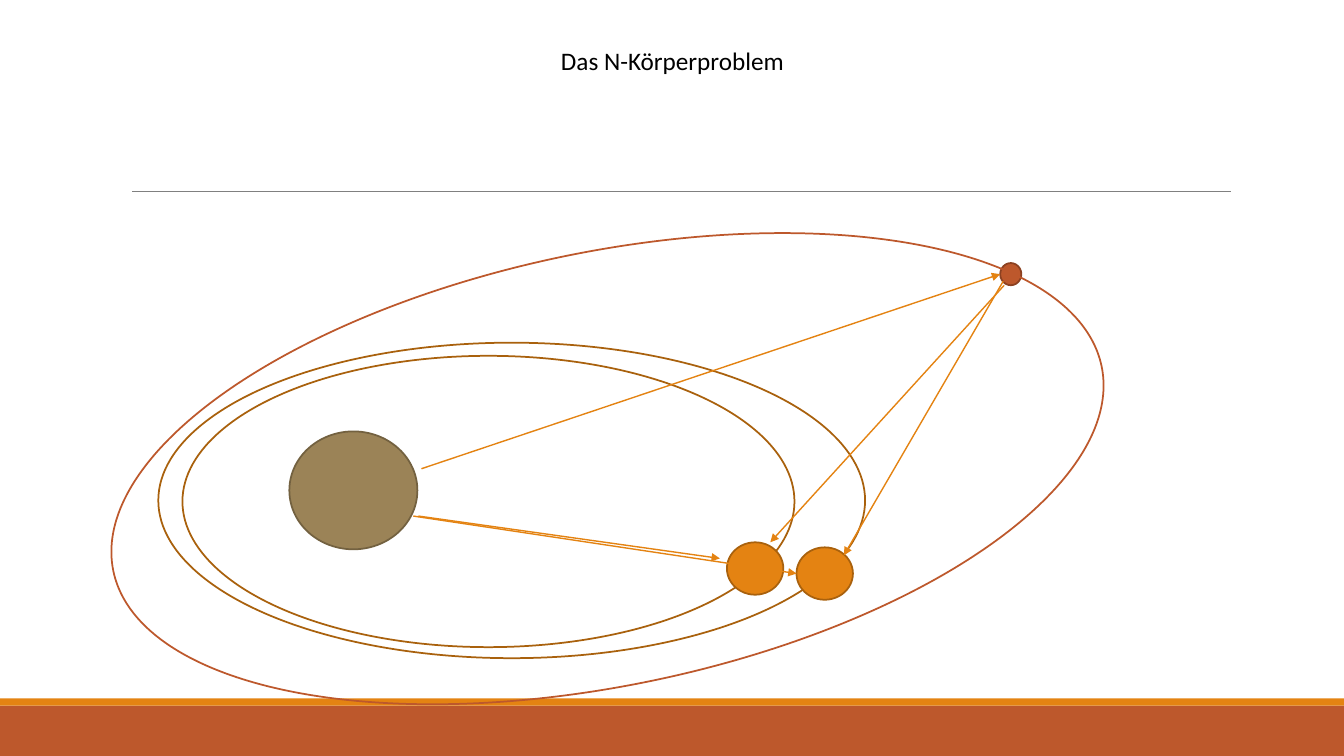
from lxml import etree
from pptx import Presentation
from pptx.dml.color import RGBColor
from pptx.enum.shapes import MSO_CONNECTOR, MSO_SHAPE
from pptx.enum.text import MSO_ANCHOR, MSO_AUTO_SIZE, PP_ALIGN
from pptx.oxml.ns import qn
from pptx.util import Inches, Pt

RECTANGLE, ELLIPSE = MSO_SHAPE.RECTANGLE, MSO_SHAPE.OVAL
STRAIGHT = MSO_CONNECTOR.STRAIGHT
CENTER, TOP = PP_ALIGN.CENTER, MSO_ANCHOR.TOP
FIT_SHAPE = MSO_AUTO_SIZE.SHAPE_TO_FIT_TEXT

RUST, ORANGE, BROWN = "BD582C", "E48312", "A9610D"


def paint(color_format, color):
    color_format.rgb = RGBColor.from_string(color)


def add_line(slide, start, end, color, width, arrow=False):
    points = [Inches(value) for value in (*start, *end)]
    connector = slide.shapes.add_connector(STRAIGHT, *points)
    paint(connector.line.color, color)
    connector.line.width = Pt(width)
    properties = connector._element.spPr
    if arrow:
        outline = properties.find(qn("a:ln"))
        etree.SubElement(outline, qn("a:tailEnd"), type="triangle")
    etree.SubElement(properties, qn("a:effectLst"))


presentation = Presentation()
presentation.slide_width = Inches(13.33)
presentation.slide_height = Inches(7.5)
slide = presentation.slides.add_slide(presentation.slide_layouts[5])

# Title
title = slide.shapes.title
title.left, title.top = Inches(5.02), Inches(0.4)
title.width, title.height = Inches(3.3), Inches(0.4)
frame = title.text_frame
frame.word_wrap = True
frame.auto_size = FIT_SHAPE
frame.vertical_anchor = TOP
paragraph = frame.paragraphs[0]
paragraph.alignment = CENTER
run = paragraph.add_run()
run.text = "Das N-Körperproblem"
run.font.name = "Calibri"
run.font.size = Pt(18)
paint(run.font.color, "000000")

# Footer bands and rule under the title
for top, height, color in [(7, 0.5, RUST), (6.93, 0.07, ORANGE)]:
    band = slide.shapes.add_shape(
        RECTANGLE, 0, Inches(top), presentation.slide_width, Inches(height))
    band.shadow.inherit = False
    band.fill.solid()
    paint(band.fill.fore_color, color)
    band.line.fill.background()
add_line(slide, (1.31, 1.9), (12.21, 1.9), "808080", 0.5)

# Bodies and orbits, back to front: left, top, width, height, rotation, fill, outline
bodies_and_orbits = [
    (2.87, 4.28, 1.27, 1.17, 0, "9B8357", "736140"),  # central body
    (9.92, 2.61, 0.21, 0.22, 0, RUST, "8C4121"),      # small body
    (1.81, 3.53, 6.07, 2.89, 0, None, BROWN),         # inner orbit
    (1.02, 2.5, 10.01, 4.3, 348.3, None, RUST),       # tilted orbit
    (7.21, 5.38, 0.56, 0.52, 0, ORANGE, BROWN),       # inner planet
    (1.57, 3.4, 7.01, 3.13, 0, None, BROWN),          # outer orbit
    (7.9, 5.43, 0.56, 0.52, 0, ORANGE, BROWN),        # outer planet
]
for left, top, width, height, rotation, fill, outline in bodies_and_orbits:
    ellipse = slide.shapes.add_shape(
        ELLIPSE, Inches(left), Inches(top), Inches(width), Inches(height))
    ellipse.shadow.inherit = False
    ellipse.rotation = rotation
    if fill:
        ellipse.fill.solid()
        paint(ellipse.fill.fore_color, fill)
    else:
        ellipse.fill.background()
    paint(ellipse.line.color, outline)
    ellipse.line.width = Pt(1.25)

# Forces between the bodies
forces = [
    ((4.15, 5.12), (7.14, 5.54)),
    ((4.18, 4.65), (9.92, 2.72)),
    ((9.96, 2.83), (7.64, 5.38)),
    ((9.95, 2.79), (8.37, 5.51)),
    ((4.1, 5.12), (7.9, 5.69)),
]
for start, end in forces:
    add_line(slide, start, end, ORANGE, 1, arrow=True)

presentation.save("out.pptx")
